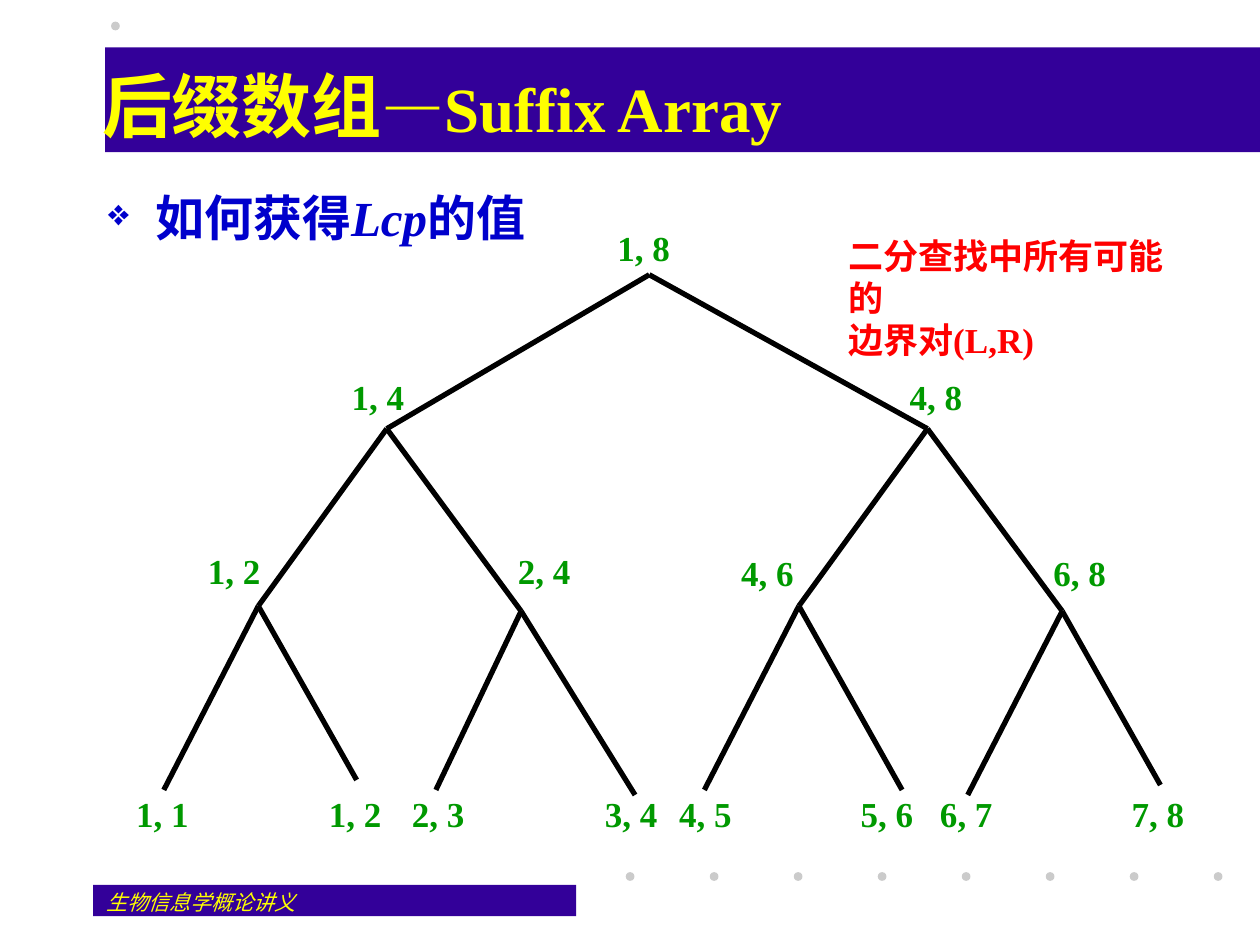
from dataclasses import dataclass

from lxml import etree
from pptx import Presentation
from pptx import util as u
from pptx.dml.color import RGBColor
from pptx.enum import shapes, text
from pptx.oxml import ns

LATIN, CJK = "Times New Roman", "Noto Sans CJK SC"
PURPLE, YELLOW, GREY = "330099", "FFFF00", "CBCBCB"
BLUE, GREEN, RED, BLACK = "0000CC", "009900", "FF0000", "000000"


@dataclass
class Node:
    label: str
    x: float
    y: float
    label_x: float
    label_y: float


@dataclass
class Run:
    text: str
    size: float
    color: str
    bold: bool = True
    italic: bool = False
    font: str = LATIN


LEAF_Y = 452.9
# Heap order: the children of node i are nodes 2i + 1 and 2i + 2.
TREE = [
    Node("1, 8", 371, 157, 352.8, 129.6),
    Node("1, 4", 221, 245, 200.9, 214.6),
    Node("4, 8", 530, 245, 519.8, 214.6),
    Node("1, 2", 147.6, 346.3, 118.8, 313.9),
    Node("2, 4", 297.8, 349.2, 295.9, 313.9),
    Node("4, 6", 456.5, 346.3, 423.4, 315.4),
    Node("6, 8", 607, 349.2, 601.9, 315.4),
    Node("1, 1", 93.6, 451.4, 77.8, LEAF_Y),
    Node("1, 2", 203.8, 445.7, 187.9, LEAF_Y),
    Node("2, 3", 249.1, 451.4, 235.4, LEAF_Y),
    Node("3, 4", 362.9, 454.3, 345.6, LEAF_Y),
    Node("4, 5", 402.5, 451.4, 388.1, LEAF_Y),
    Node("5, 6", 515.5, 451.4, 491.8, LEAF_Y),
    Node("6, 7", 553, 454.3, 537.1, LEAF_Y),
    Node("7, 8", 663.1, 448.6, 646.6, LEAF_Y),
]


def rgb(value: str) -> RGBColor:
    return RGBColor.from_string(value)


def add_filled(s, kind, x: float, y: float, w: float, h: float, color: str) -> None:
    sp = s.shapes.add_shape(kind, u.Pt(x), u.Pt(y), u.Pt(w), u.Pt(h))
    sp.shadow.inherit = False
    sp.fill.solid()
    sp.fill.fore_color.rgb = rgb(color)
    sp.line.fill.background()


def add_edge(s, start: Node, end: Node) -> None:
    line = s.shapes.add_connector(shapes.MSO_CONNECTOR.STRAIGHT, u.Pt(start.x),
                                  u.Pt(start.y), u.Pt(end.x), u.Pt(end.y))
    line.line.color.rgb = rgb(BLACK)
    line.line.width = u.Pt(3)
    etree.SubElement(line.element.spPr, ns.qn("a:effectLst"))


def add_runs(p, runs: list[Run]) -> None:
    for run in runs:
        r = p.add_run()
        r.text = run.text
        f = r.font
        f.size, f.bold, f.italic, f.name = u.Pt(run.size), run.bold, run.italic, run.font
        f.color.rgb = rgb(run.color)
        etree.SubElement(r.element if hasattr(r, "element") else r.font._element,
                         ns.qn("a:ea"), typeface=CJK)


def add_text(s, x: float, y: float, w: float, h: float, paragraphs: list[list[Run]],
             inset: tuple[float, float] = (0, 0), wrap: bool = False,
             align=text.PP_ALIGN.LEFT):
    tf = s.shapes.add_textbox(u.Pt(x), u.Pt(y), u.Pt(w), u.Pt(h)).text_frame
    tf.word_wrap = wrap
    tf.margin_left = tf.margin_right = u.Pt(inset[0])
    tf.margin_top = tf.margin_bottom = u.Pt(inset[1])
    for i, runs in enumerate(paragraphs):
        p = tf.add_paragraph() if i else tf.paragraphs[0]
        p.alignment = align
        add_runs(p, runs)
    return tf


def add_bullet(p, char: str, color: str, percent: int, indent: float) -> None:
    pPr = p._p.get_or_add_pPr()
    pPr.set("marL", str(u.Pt(indent)))
    pPr.set("indent", str(-u.Pt(indent)))
    bu_color = etree.SubElement(pPr, ns.qn("a:buClr"))
    etree.SubElement(bu_color, ns.qn("a:srgbClr"), val=color)
    etree.SubElement(pPr, ns.qn("a:buSzPct"), val=str(percent * 1000))
    etree.SubElement(pPr, ns.qn("a:buChar"), char=char)


def format_title(s) -> None:
    title = s.shapes.title
    title.left, title.top = u.Pt(51.1), u.Pt(23.8)
    title.width, title.height = u.Pt(640.8), u.Pt(72)
    tf = title.text_frame
    tf.auto_size = text.MSO_AUTO_SIZE.NONE
    tf.vertical_anchor = text.MSO_ANCHOR.MIDDLE
    p = tf.paragraphs[0]
    p.alignment = text.PP_ALIGN.LEFT
    add_runs(p, [Run("后缀数组", 40, YELLOW), Run("—", 36, YELLOW, font=CJK),
                 Run("Suffix Array", 36, YELLOW)])
    s.shapes.element.append(title.element)  # bring in front of its bar


def main() -> None:
    prs = Presentation()
    prs.slide_width, prs.slide_height = u.Pt(720), u.Pt(540)
    s = prs.slides.add_slide(prs.slide_layouts[5])

    rect, oval = shapes.MSO_SHAPE.RECTANGLE, shapes.MSO_SHAPE.OVAL
    add_filled(s, rect, 53.2, 505.6, 276, 18, PURPLE)
    for i in range(8):
        add_filled(s, oval, 357.6 + 48 * i, 498.4, 5, 5, GREY)
    add_filled(s, rect, 60, 27, 660, 60, PURPLE)
    add_filled(s, oval, 63.5, 12.4, 5, 5, GREY)

    add_text(s, 54, 504.7, 149.8, 18,
             [[Run("生物信息学概论讲义", 12, YELLOW, bold=False, italic=True)]],
             inset=(7.2, 3.6), wrap=True)
    format_title(s)
    body = add_text(s, 54.7, 103.7, 640.8, 387.4,
                    [[Run("如何获得", 28, BLUE), Run("Lcp", 28, BLUE, italic=True),
                      Run("的值", 28, BLUE)]], inset=(7.2, 3.6), wrap=True)
    add_bullet(body.paragraphs[0], "❖", BLUE, 75, 27)

    for i, node in enumerate(TREE):
        for child in TREE[2 * i + 1:2 * i + 3]:
            add_edge(s, node, child)
    for node in TREE:
        add_text(s, node.label_x, node.label_y, 30.2, 24,
                 [[Run(node.label, 20, GREEN)]], align=text.PP_ALIGN.CENTER)
    add_text(s, 484.6, 133.9, 200, 48,
             [[Run("二分查找中所有可能的", 20, RED)], [Run("边界对(L,R)", 20, RED)]])

    prs.save("out.pptx")


if __name__ == "__main__":
    main()
